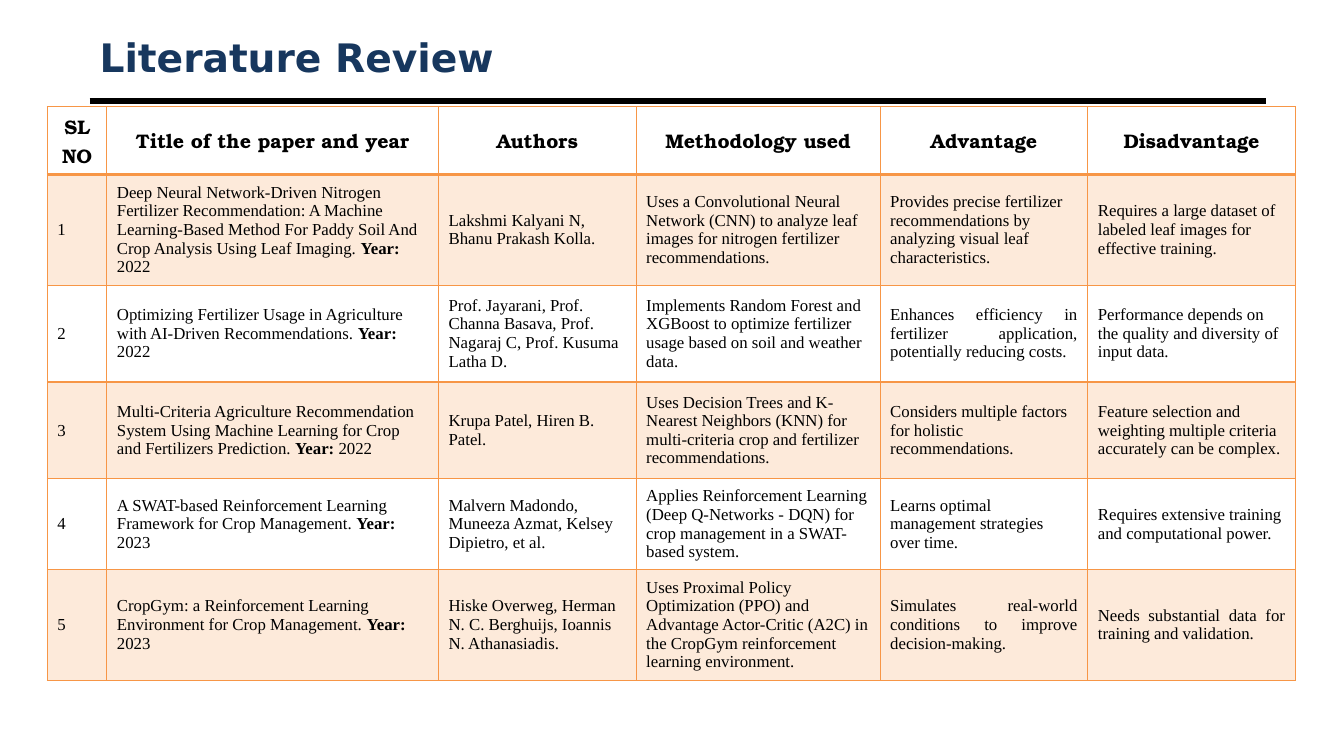
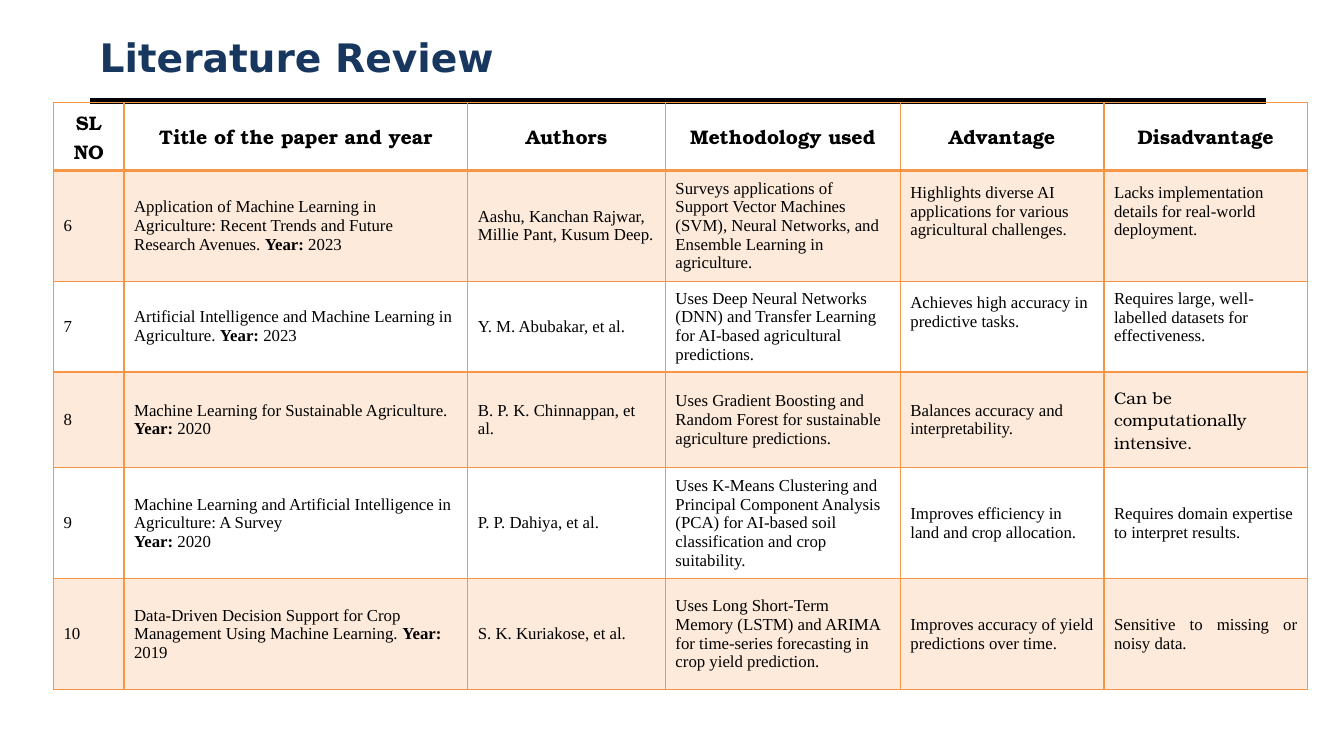
from lxml.etree import SubElement
from pptx import Presentation
from pptx.dml.color import RGBColor
from pptx.enum.shapes import MSO_CONNECTOR
from pptx.enum.text import MSO_ANCHOR, PP_ALIGN
from pptx.oxml import parse_xml
from pptx.oxml.ns import nsdecls, qn
from pptx.util import Inches, Pt

COLORS = {"title": "17375E", "text": "000000", "rule": "000000",
          "border": "F79646", "band": "FDEADA"}
TITLE_FONT, HEADER_FONT, BODY_FONT = "DejaVu Sans", "TeX Gyre Bonum", "Times New Roman"
MARGIN, CONTENT_WIDTH = 0.89, 11.67
THIN, THICK = 0.96, 1.98

HEADERS = ["SL NO", "Title of the paper and year", "Authors",
           "Methodology used", "Advantage", "Disadvantage"]

# A cell is its text, or its text with the format in which it differs.
JUSTIFIED = {"align": PP_ALIGN.JUSTIFY}
RAISED = {"raise_by": 0.28}
SLIGHTLY_RAISED = {"raise_by": 0.18}

REVIEWS = [
    {
        "at": (0.47, 1.06),
        "columns": [0.59, 3.29, 1.96, 2.42, 2.06, 2.06],
        "rows": [0.67, 1.02, 0.96, 0.96, 0.84, 1.07],
        "papers": [
            ("1", "Deep Neural Network-Driven Nitrogen Fertilizer Recommendation: A Machine "
                  "Learning-Based Method For Paddy Soil And Crop Analysis Using Leaf Imaging. "
                  "**Year:** 2022",
             "Lakshmi Kalyani N, Bhanu Prakash Kolla.",
             "Uses a Convolutional Neural Network (CNN) to analyze leaf images for nitrogen "
             "fertilizer recommendations.",
             "Provides precise fertilizer recommendations by analyzing visual leaf "
             "characteristics.",
             "Requires a large dataset of labeled leaf images for effective training."),
            ("2", "Optimizing Fertilizer Usage in Agriculture with AI-Driven Recommendations. "
                  "**Year:** 2022",
             "Prof. Jayarani, Prof. Channa Basava, Prof. Nagaraj C, Prof. Kusuma Latha D.",
             "Implements Random Forest and XGBoost to optimize fertilizer usage based on soil "
             "and weather data.",
             ("Enhances efficiency in fertilizer application, potentially reducing costs.",
              JUSTIFIED),
             "Performance depends on the quality and diversity of input data."),
            ("3", "Multi-Criteria Agriculture Recommendation System Using Machine Learning for "
                  "Crop and Fertilizers Prediction. **Year:** 2022",
             "Krupa Patel, Hiren B. Patel.",
             "Uses Decision Trees and K-Nearest Neighbors (KNN) for multi-criteria crop and "
             "fertilizer recommendations.",
             "Considers multiple factors for holistic recommendations.",
             "Feature selection and weighting multiple criteria accurately can be complex."),
            ("4", "A SWAT-based Reinforcement Learning Framework for Crop Management. "
                  "**Year:** 2023",
             "Malvern Madondo, Muneeza Azmat, Kelsey Dipietro, et al.",
             "Applies Reinforcement Learning (Deep Q-Networks - DQN) for crop management in a "
             "SWAT-based system.",
             "Learns optimal management strategies over time.",
             "Requires extensive training and computational power."),
            ("5", "CropGym: a Reinforcement Learning Environment for Crop Management. "
                  "**Year:** 2023",
             "Hiske Overweg, Herman N. C. Berghuijs, Ioannis N. Athanasiadis.",
             "Uses Proximal Policy Optimization (PPO) and Advantage Actor-Critic (A2C) in the "
             "CropGym reinforcement learning environment.",
             ("Simulates real-world conditions to improve decision-making.", JUSTIFIED),
             ("Needs substantial data for training and validation.", JUSTIFIED)),
        ],
    },
    {
        "at": (0.53, 1.02),
        "columns": [0.7, 3.41, 1.96, 2.33, 2.02, 2.02],
        "rows": [0.67, 1.07, 0.87, 0.95, 1.07, 1.1],
        "papers": [
            ("6", "Application of Machine Learning in Agriculture: Recent Trends and Future "
                  "Research Avenues. **Year:** 2023",
             "Aashu, Kanchan Rajwar, Millie Pant, Kusum Deep.",
             "Surveys applications of Support Vector Machines (SVM), Neural Networks, and "
             "Ensemble Learning in agriculture.",
             ("Highlights diverse AI applications for various agricultural challenges.", RAISED),
             ("Lacks implementation details for real-world deployment.", RAISED)),
            ("7", "Artificial Intelligence and Machine Learning in Agriculture. **Year:** 2023",
             "Y. M. Abubakar, et al.",
             "Uses Deep Neural Networks (DNN) and Transfer Learning for AI-based agricultural "
             "predictions.",
             ("Achieves high accuracy in predictive tasks.", RAISED),
             ("Requires large, well-labelled datasets for effectiveness.", SLIGHTLY_RAISED)),
            ("8", "Machine Learning for Sustainable Agriculture. **Year:** 2020",
             "B. P. K. Chinnappan, et al.",
             "Uses Gradient Boosting and Random Forest for sustainable agriculture predictions.",
             "Balances accuracy and interpretability.",
             ("Can be computationally intensive.", {"font": HEADER_FONT})),
            ("9", "Machine Learning and Artificial Intelligence in Agriculture: A Survey\n"
                  "**Year:** 2020",
             "P. P. Dahiya, et al.",
             "Uses K-Means Clustering and Principal Component Analysis (PCA) for AI-based soil "
             "classification and crop suitability.",
             "Improves efficiency in land and crop allocation.",
             "Requires domain expertise to interpret results."),
            ("10", "Data-Driven Decision Support for Crop Management Using Machine Learning. "
                   "**Year:** 2019",
             "S. K. Kuriakose, et al.",
             "Uses Long Short-Term Memory (LSTM) and ARIMA for time-series forecasting in crop "
             "yield prediction.",
             "Improves accuracy of yield predictions over time.",
             ("Sensitive to missing or noisy data.", JUSTIFIED)),
        ],
    },
]


def rgb(name):
    return RGBColor.from_string(COLORS[name])


def write_text(frame, text, size=12, font=BODY_FONT, color="text", bold=False,
               align=PP_ALIGN.LEFT):
    """Fill a text frame: newlines part paragraphs, **marks** enclose bold words."""
    for number, line in enumerate(text.split("\n")):
        paragraph = frame.add_paragraph() if number else frame.paragraphs[0]
        paragraph.alignment = align
        for position, part in enumerate(line.split("**")):
            if not part:
                continue
            run = paragraph.add_run()
            run.text = part
            run.font.size, run.font.name = Pt(size), font
            run.font.bold = bold or position % 2 == 1
            run.font.color.rgb = rgb(color)


def add_heading(slide, text):
    """Add the slide title and the heavy rule under it."""
    title = slide.shapes.add_textbox(Inches(MARGIN), Inches(0.3),
                                     Inches(CONTENT_WIDTH), Inches(0.53))
    title.text_frame.word_wrap = True
    title.text_frame.vertical_anchor = MSO_ANCHOR.MIDDLE
    write_text(title.text_frame, text, size=28, font=TITLE_FONT, color="title", bold=True)

    rule = slide.shapes.add_connector(MSO_CONNECTOR.STRAIGHT, Inches(MARGIN), Inches(1),
                                      Inches(MARGIN + CONTENT_WIDTH), Inches(1))
    rule.line.color.rgb = rgb("rule")
    rule.line.width = Pt(4.5)
    SubElement(rule._element.spPr, qn("a:effectLst"))


def set_borders(cell, top, bottom):
    widths = {"lnL": THIN, "lnR": THIN, "lnT": top, "lnB": bottom}
    properties = cell._tc.get_or_add_tcPr()
    for index, (side, width) in enumerate(widths.items()):
        properties.insert(index, parse_xml(
            f'<a:{side} {nsdecls("a")} w="{Pt(width)}"><a:solidFill>'
            f'<a:srgbClr val="{COLORS["border"]}"/></a:solidFill></a:{side}>'))


def fill_cell(cell, text, banded=False, top=THIN, bottom=THIN, raise_by=0, **text_format):
    cell.vertical_anchor = MSO_ANCHOR.MIDDLE
    cell.margin_bottom = Inches(0.05 + raise_by)
    if banded:
        cell.fill.solid()
        cell.fill.fore_color.rgb = rgb("band")
    else:
        cell.fill.background()
    set_borders(cell, top, bottom)
    write_text(cell.text_frame, text, **text_format)


def add_review_table(slide, at, columns, rows, papers):
    left, top = at
    table = slide.shapes.add_table(len(rows), len(columns), Inches(left), Inches(top),
                                   Inches(sum(columns)), Inches(sum(rows))).table
    table.first_row = table.horz_banding = False
    for column, width in zip(table.columns, columns):
        column.width = Inches(width)
    for row, height in zip(table.rows, rows):
        row.height = Inches(height)

    for column, header in enumerate(HEADERS):
        fill_cell(table.cell(0, column), header, bottom=THICK, size=14, font=HEADER_FONT,
                  bold=True, align=PP_ALIGN.CENTER)
    for row, paper in enumerate(papers, start=1):
        for column, entry in enumerate(paper):
            text, changes = (entry, {}) if isinstance(entry, str) else entry
            fill_cell(table.cell(row, column), text, banded=row % 2 == 1,
                      top=THICK if row == 1 else THIN, **changes)


def main():
    deck = Presentation()
    deck.slide_width, deck.slide_height = Inches(13.33), Inches(7.5)
    for review in REVIEWS:
        slide = deck.slides.add_slide(deck.slide_layouts[6])
        add_heading(slide, "Literature Review")
        add_review_table(slide, **review)
    deck.save("out.pptx")


if __name__ == "__main__":
    main()
